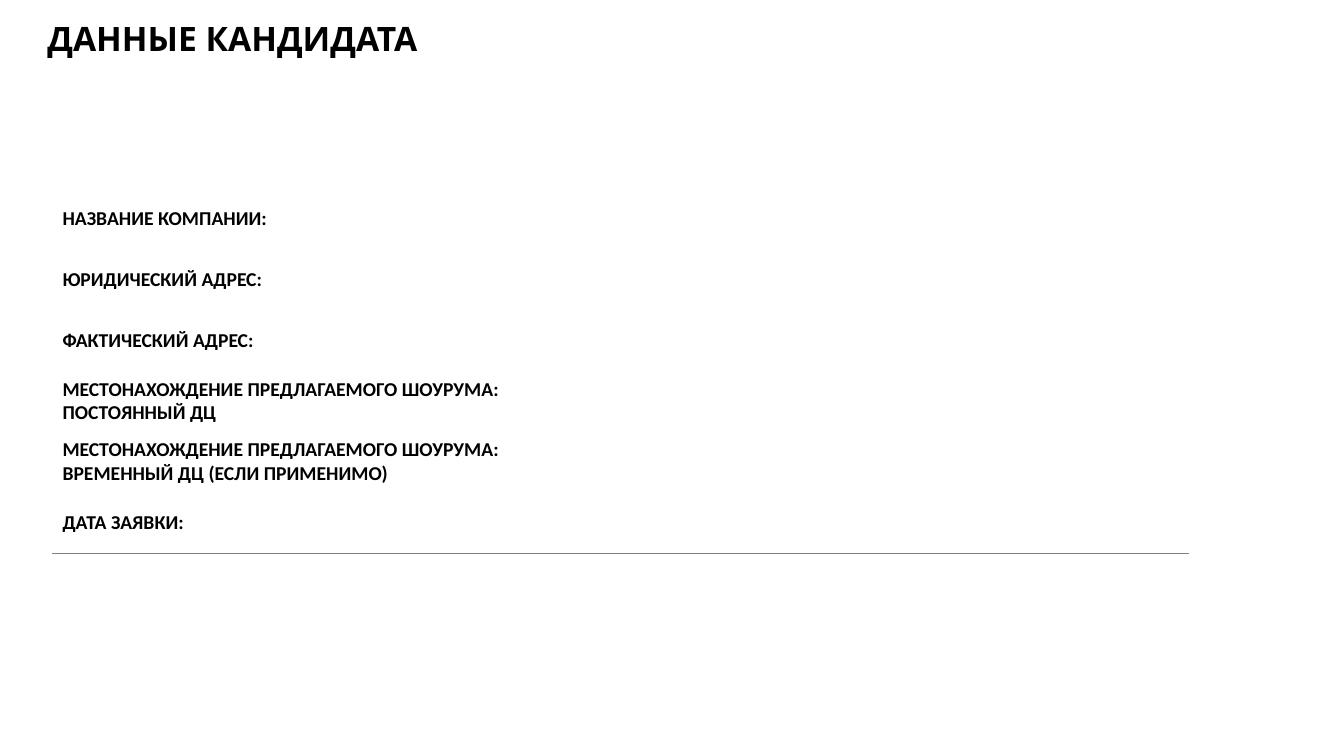
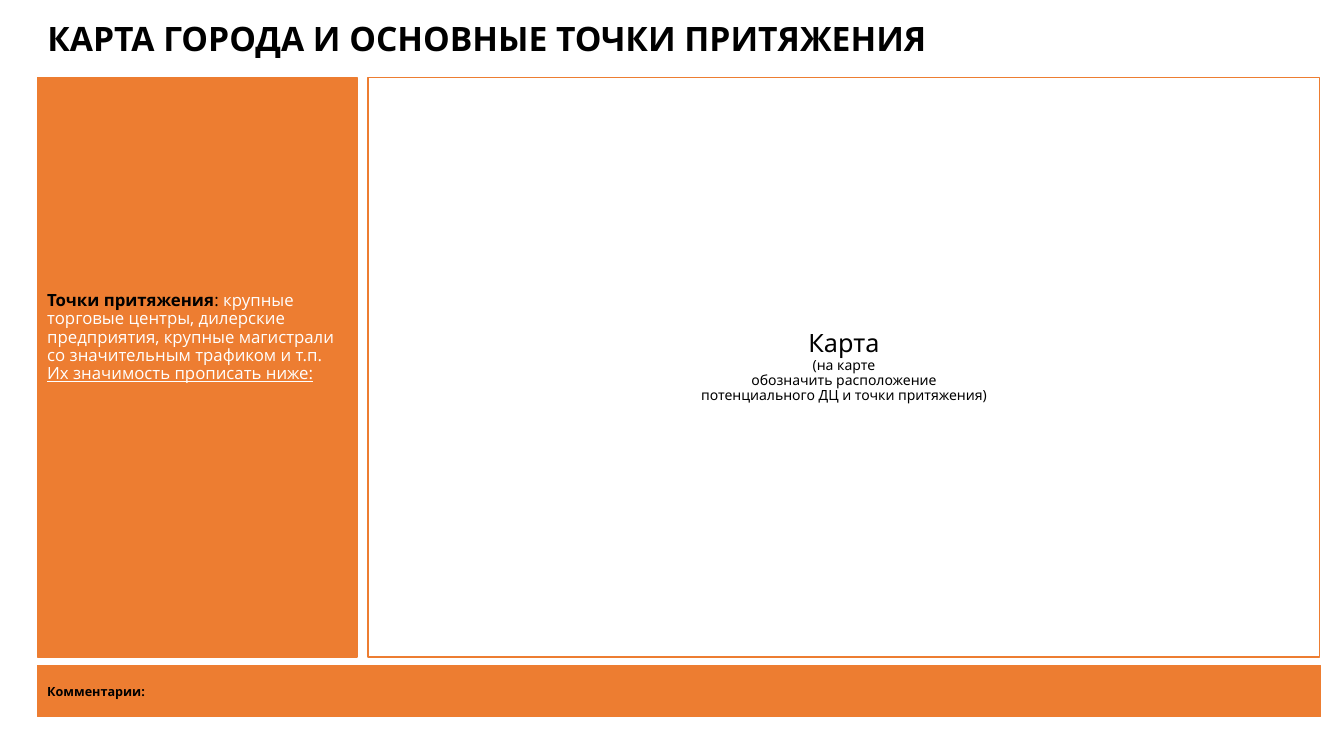
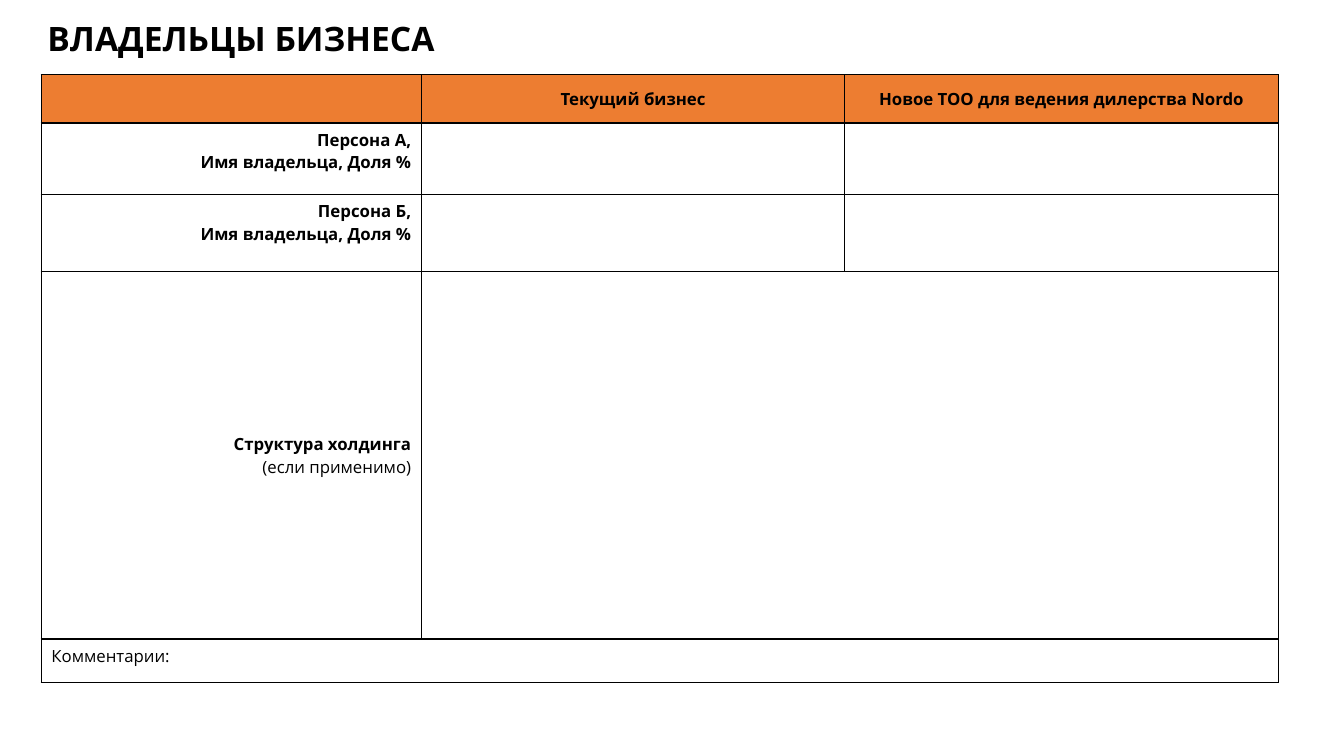
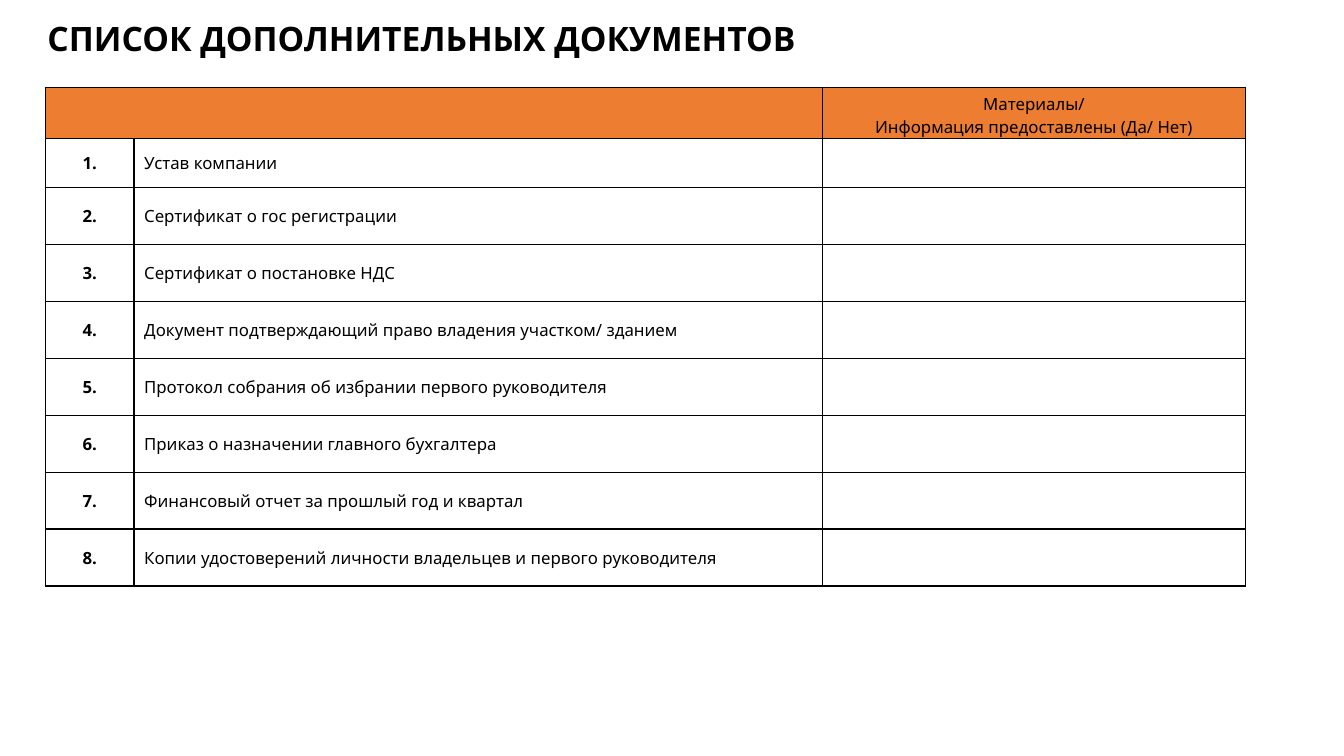
from lxml.etree import SubElement
from pptx import Presentation
from pptx.dml.color import RGBColor
from pptx.enum.shapes import MSO_SHAPE
from pptx.enum.text import MSO_ANCHOR, MSO_AUTO_SIZE, PP_ALIGN
from pptx.oxml.ns import qn
from pptx.util import Inches, Pt

BLACK, WHITE, ORANGE, GREY = "000000", "FFFFFF", "ED7D31", "808080"
OPEN, NOTO, CALIBRI = "Open Sans", "Noto Sans", "Calibri"
LEFT, CENTER, RIGHT = PP_ALIGN.LEFT, PP_ALIGN.CENTER, PP_ALIGN.RIGHT
TOP, MIDDLE = MSO_ANCHOR.TOP, MSO_ANCHOR.MIDDLE
EDGES = ("L", "R", "T", "B")


def rgb(value):
    return RGBColor.from_string(value)


class Deck:
    title_style = dict(name=OPEN, size=24, bold=True)

    def __init__(self):
        self.prs = Presentation()
        self.prs.slide_width = Inches(13.33)
        self.prs.slide_height = Inches(7.5)

    def slide(self, title):
        self.s = self.prs.slides.add_slide(self.prs.slide_layouts[5])
        sp = self.s.shapes.title
        box = dict(left=0.37, top=0.13, width=12.74, height=0.5)
        for key, value in box.items():
            setattr(sp, key, Inches(value))
        tf = sp.text_frame
        tf.word_wrap = True
        tf.auto_size = MSO_AUTO_SIZE.NONE
        tf.vertical_anchor = TOP
        self.text(tf, [title], **self.title_style)

    def text(self, tf, lines, align=LEFT, spacing=1.0, **style):
        for i, line in enumerate(lines):
            p = tf.add_paragraph() if i else tf.paragraphs[0]
            p.alignment = align
            p.line_spacing = spacing
            for words, extra in [(line, {})] if isinstance(line, str) else line:
                r = p.add_run()
                r.text = words
                look = {"color": BLACK, "bold": False, **style, **extra}
                r.font.color.rgb = rgb(look.pop("color"))
                look["size"] = Pt(look["size"])
                for key, value in look.items():
                    setattr(r.font, key, value)

    def panel(self, box, lines, fill=ORANGE, bottom=0.05, **style):
        sp = self.s.shapes.add_shape(MSO_SHAPE.RECTANGLE, *map(Inches, box))
        sp.shadow.inherit = False
        if fill:
            sp.fill.solid()
            sp.fill.fore_color.rgb = rgb(fill)
        else:
            sp.fill.background()
        sp.line.color.rgb = rgb(ORANGE)
        sp.line.width = Pt(1)
        tf = sp.text_frame
        tf.word_wrap = True
        tf.vertical_anchor = MIDDLE
        tf.margin_bottom = Inches(bottom)
        self.text(tf, lines, **style)

    def table(self, left, top, cols, rows, edges=EDGES, color=BLACK, width=1):
        frame = self.s.shapes.add_table(
            len(rows), len(cols), Inches(left), Inches(top),
            Inches(sum(cols)), Inches(sum(rows)))
        tbl = frame.table
        tbl.first_row = tbl.horz_banding = False
        for col, size in zip(tbl.columns, cols):
            col.width = Inches(size)
        for row, size in zip(tbl.rows, rows):
            row.height = Inches(size)
        for cell in tbl.iter_cells():
            self.border(cell, edges, color, width)
            cell.fill.background()
        return tbl

    def border(self, cell, edges, color, width):
        tcPr = cell._tc.get_or_add_tcPr()
        for edge in EDGES:
            ln = SubElement(tcPr, qn(f"a:ln{edge}"), w=str(Pt(width)))
            if edge in edges:
                fill = SubElement(ln, qn("a:solidFill"))
                SubElement(fill, qn("a:srgbClr"), val=color)
            else:
                SubElement(ln, qn("a:noFill"))

    def header(self, tbl):
        for cell in tbl.rows[0].cells:
            cell.fill.solid()
            cell.fill.fore_color.rgb = rgb(ORANGE)

    def cell(self, cell, lines, anchor=MIDDLE, **style):
        cell.vertical_anchor = anchor
        self.text(cell.text_frame, lines, **style)


def candidate(deck):
    deck.slide("ДАННЫЕ КАНДИДАТА")
    showroom = "МЕСТОНАХОЖДЕНИЕ ПРЕДЛАГАЕМОГО ШОУРУМА:"
    fields = [
        ["НАЗВАНИЕ КОМПАНИИ:"],
        ["ЮРИДИЧЕСКИЙ АДРЕС:"],
        ["ФАКТИЧЕСКИЙ АДРЕС:"],
        [showroom, "ПОСТОЯННЫЙ ДЦ"],
        [showroom, "ВРЕМЕННЫЙ ДЦ (ЕСЛИ ПРИМЕНИМО)"],
        ["ДАТА ЗАЯВКИ:"],
    ]
    rows = [3.62 / len(fields)] * len(fields)
    tbl = deck.table(0.52, 1.87, [5.66, 5.61], rows, "B", GREY, 0.75)
    for i, lines in enumerate(fields):
        deck.cell(tbl.cell(i, 0), lines, name=CALIBRI, size=14, bold=True)


def city_map(deck):
    deck.slide("КАРТА ГОРОДА И ОСНОВНЫЕ ТОЧКИ ПРИТЯЖЕНИЯ")
    points = [
        [("Точки притяжения", dict(bold=True, color=BLACK)),
         (": ", dict(color=BLACK)), ("крупные", {})],
        "торговые центры, дилерские",
        "предприятия, крупные магистрали со значительным трафиком и т.п.",
        [("Их значимость прописать ниже:", dict(underline=True))],
    ]
    deck.panel((0.37, 0.77, 3.17, 5.75), points, bottom=0.64,
               name=OPEN, size=12, color=WHITE, spacing=0.9)
    hint = [
        [("Карта", dict(size=18))],
        "(на карте",
        "обозначить расположение",
        "потенциального ДЦ и точки притяжения)",
    ]
    deck.panel((3.65, 0.77, 9.44, 5.75), hint, fill=None,
               name=NOTO, size=10, align=CENTER, spacing=0.9)
    deck.panel((0.37, 6.6, 12.73, 0.51), ["Комментарии:"],
               name=NOTO, size=9, bold=True)


def owners(deck):
    deck.slide("ВЛАДЕЛЬЦЫ БИЗНЕСА")
    tbl = deck.table(0.41, 0.74, [3.77, 4.2, 4.3],
                     [0.48, 0.71, 0.76, 3.65, 0.43])
    deck.header(tbl)
    tbl.cell(3, 1).merge(tbl.cell(3, 2))
    tbl.cell(4, 0).merge(tbl.cell(4, 2))
    style = dict(name=OPEN, size=12)
    heads = ["Текущий бизнес", "Новое ТОО для ведения дилерства Nordo"]
    for j, head in enumerate(heads, 1):
        deck.cell(tbl.cell(0, j), [head], align=CENTER, bold=True, **style)
    for i, person in enumerate(["Персона A,", "Персона Б,"], 1):
        deck.cell(tbl.cell(i, 0), [person, "Имя владельца, Доля %"], TOP,
                  align=RIGHT, bold=True, **style)
    holding = [[("Структура холдинга", dict(bold=True))], "(если применимо)"]
    deck.cell(tbl.cell(3, 0), holding, align=RIGHT, **style)
    deck.cell(tbl.cell(4, 0), ["Комментарии:"], TOP, **style)


def documents(deck):
    deck.slide("СПИСОК ДОПОЛНИТЕЛЬНЫХ ДОКУМЕНТОВ")
    names = [
        "Устав компании",
        "Сертификат о гос регистрации",
        "Сертификат о постановке НДС",
        "Документ подтверждающий право владения участком/ зданием",
        "Протокол собрания об избрании первого руководителя",
        "Приказ о назначении главного бухгалтера",
        "Финансовый отчет за прошлый год и квартал",
        "Копии удостоверений личности владельцев и первого руководителя",
    ]
    tbl = deck.table(0.45, 0.87, [0.88, 6.83, 4.19],
                     [0.5, 0.49] + [3.95 / 7] * 7)
    deck.header(tbl)
    tbl.cell(0, 0).merge(tbl.cell(0, 1))
    style = dict(name=NOTO, size=12)
    status = tbl.cell(0, 2)
    status.margin_bottom = 0
    deck.cell(status, ["Материалы/", "Информация предоставлены (Да/ Нет)"],
              align=CENTER, **style)
    for i, name in enumerate(names, 1):
        deck.cell(tbl.cell(i, 0), [f"{i}."], align=CENTER, bold=True, **style)
        deck.cell(tbl.cell(i, 1), [name], **style)


def main():
    deck = Deck()
    for build in (candidate, city_map, owners, documents):
        build(deck)
    deck.prs.save("out.pptx")


if __name__ == "__main__":
    main()
